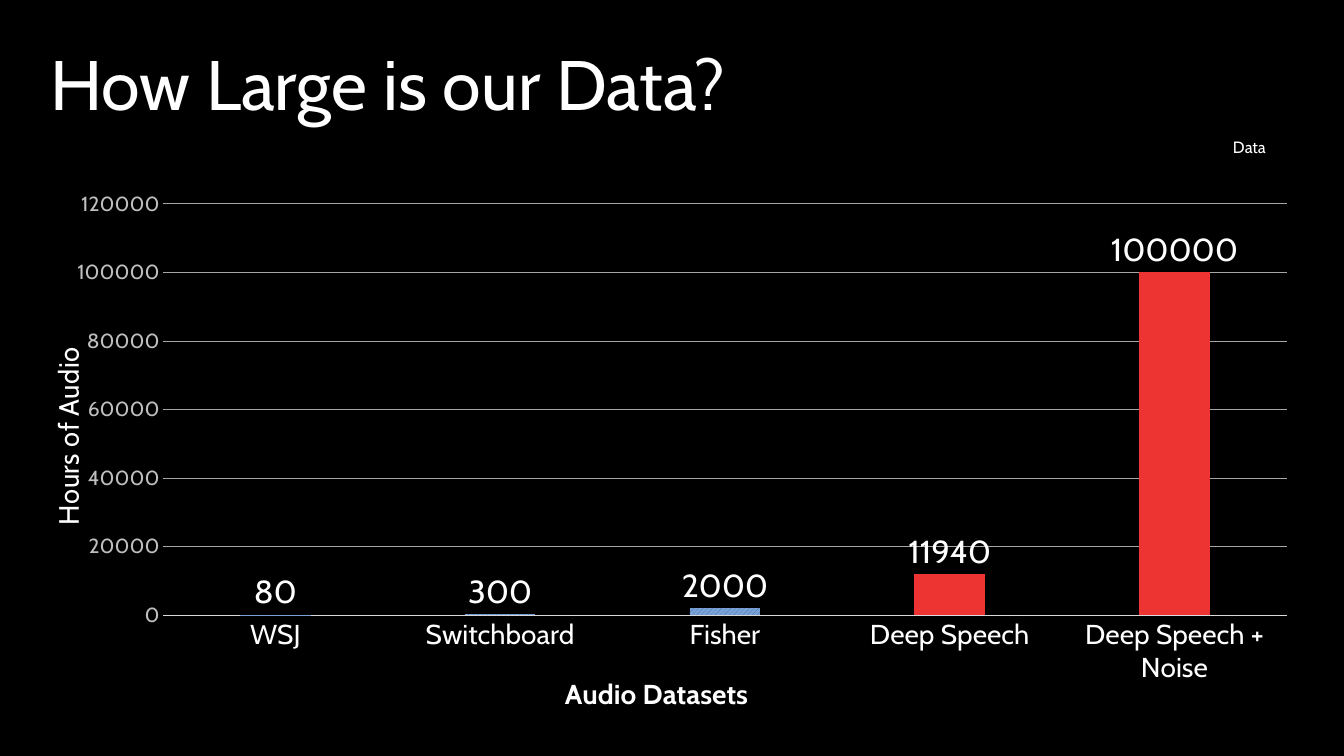
import pptx
import pptx.chart.data
import pptx.dml.color
import pptx.enum.chart
import pptx.enum.dml
import pptx.oxml
import pptx.oxml.ns
import pptx.util

FONT = "Cabin"
WHITE, RED = "FFFFFF", "EE3333"
WIDE, HIGH = 16, 9
HOURS = {
    "WSJ": 80,
    "Switchboard": 300,
    "Fisher": 2000,
    "Deep Speech": 11940,
    "Deep Speech + Noise": 100000,
}
OURS = (3, 4)


def paint(color, code):
    color.rgb = pptx.dml.color.RGBColor.from_string(code)


def style(font, size, code, bold=False):
    font.name, font.size, font.bold = FONT, pptx.util.Pt(size), bold
    paint(font.color, code)


def stroke(line, code, width):
    paint(line.color, code)
    line.width = pptx.util.Pt(width)


def add_text(slide, box, text, size, spacing=1.0, wrap=True):
    frame = slide.shapes.add_textbox(*map(pptx.util.Inches, box)).text_frame
    frame.word_wrap = wrap
    frame.margin_top = frame.margin_bottom = pptx.util.Inches(0.1 if wrap else 0.05)
    para = frame.paragraphs[0]
    para.line_spacing = spacing
    run = para.add_run()
    run.text = text
    style(run.font, size, WHITE)


def place(part, index, inner=False, **shares):
    """Fix a chart part at percentages of the chart's size."""
    for old in part.findall(pptx.oxml.ns.qn("c:layout")):
        part.remove(old)
    target = '<c:layoutTarget val="inner"/>' if inner else ""
    modes = "".join(f'<c:{key}Mode val="edge"/>' for key in ("x", "y"))
    sizes = "".join(f'<c:{key} val="{share / 100:.3f}"/>'
                    for key, share in shares.items())
    part.insert(index, pptx.oxml.parse_xml(
        f'<c:layout {pptx.oxml.ns.nsdecls("c")}><c:manualLayout>'
        f"{target}{modes}{sizes}</c:manualLayout></c:layout>"))


def name_axis(axis, text, x, y, bold=False, turn=0):
    frame = axis.axis_title.text_frame
    run = frame.paragraphs[0].add_run()
    run.text = text
    style(run.font, 24, WHITE, bold)
    body = frame._txBody.bodyPr
    body.set("rot", str(turn * 60000))
    body.set("vert", "horz")
    place(axis.axis_title._element, 1, x=x, y=y)


def style_axes(chart):
    ticks = pptx.enum.chart.XL_TICK_MARK
    cats, vals = chart.category_axis, chart.value_axis
    for axis, size, code in ((cats, 24, WHITE), (vals, 18, "BFBFBF")):
        axis.major_tick_mark = axis.minor_tick_mark = ticks.NONE
        style(axis.tick_labels.font, size, code)
    stroke(cats.format.line, "D9D9D9", 0.75)
    vals.format.line.fill.background()
    vals.minimum_scale, vals.maximum_scale, vals.major_unit = 0, 120000, 20000
    vals.has_major_gridlines = True
    stroke(vals.major_gridlines.format.line, "A6A6A6", 0.5)
    name_axis(cats, "Audio Datasets", 41.1, 93.6, bold=True)
    name_axis(vals, "Hours of Audio", 0.1, 34.4, turn=-90)


def style_bars(plot):
    plot.gap_width, plot.overlap = 219, -27
    plot.vary_by_categories = False
    bars = plot.series[0]
    bars.invert_if_negative = False
    fill = bars.format.fill
    fill.patterned()
    fill.pattern = pptx.enum.dml.MSO_PATTERN.WIDE_UPWARD_DIAGONAL
    paint(fill.fore_color, "3366AA")
    paint(fill.back_color, "7AA2D7")
    for index in OURS:
        fill = bars.points[index].format.fill
        fill.solid()
        paint(fill.fore_color, RED)
    labels = bars.data_labels
    labels.show_value = True
    labels.position = pptx.enum.chart.XL_LABEL_POSITION.OUTSIDE_END
    style(labels.font, 28, WHITE)


def add_bars(slide, box):
    data = pptx.chart.data.CategoryChartData()
    data.categories = list(HOURS)
    data.add_series("Series 1", list(HOURS.values()))
    kind = pptx.enum.chart.XL_CHART_TYPE.COLUMN_CLUSTERED
    chart = slide.shapes.add_chart(kind, *map(pptx.util.Inches, box), data).chart
    chart.has_title = chart.has_legend = False
    style(chart.font, 10, "000000")
    style_axes(chart)
    style_bars(chart.plots[0])
    area = chart._chartSpace.chart.plotArea
    place(area, 0, inner=True, x=9.6, y=8.1, w=89.2, h=75.4)


def main():
    deck = pptx.Presentation()
    deck.slide_width = pptx.util.Inches(WIDE)
    deck.slide_height = pptx.util.Inches(HIGH)
    slide = deck.slides.add_slide(deck.slide_layouts[6])
    back = slide.background.fill
    back.solid()
    paint(back.fore_color, "000000")
    edge = 0.5
    span = WIDE - 2 * edge
    add_text(slide, (edge, edge, span, 1.2), "How Large is our Data?", 60, 0.9)
    add_bars(slide, (edge, 1.9, span, 6.67))
    add_text(slide, (14.58, 1.58, 0.65, 0.34), "Data", 14, wrap=False)
    deck.save("out.pptx")


if __name__ == "__main__":
    main()
